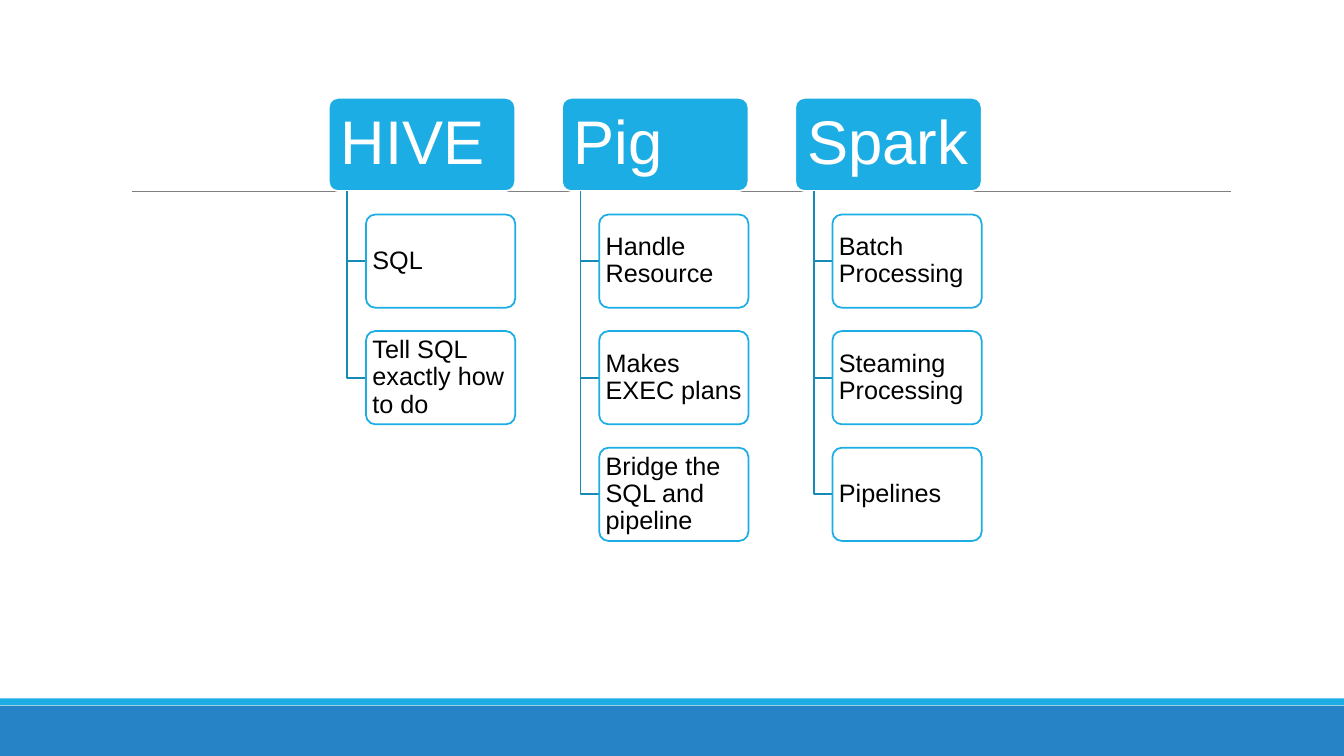
from lxml.etree import SubElement
from pptx import Presentation
from pptx.dml.color import RGBColor
from pptx.enum.shapes import MSO_CONNECTOR, MSO_SHAPE
from pptx.enum.text import MSO_ANCHOR, PP_ALIGN
from pptx.oxml.ns import qn
from pptx.util import Pt

SLIDE_WIDTH, SLIDE_HEIGHT = 960, 540
LEFT, TOP = 234.8, 69.9
HEADER_WIDTH, ITEM_WIDTH, BOX_HEIGHT = 133.2, 106.6, 66.6
COLUMN_STEP, ROW_STEP = 166.6, 83.3
STEM_INSET = 13.3
SKY, BLUE, TEAL, WHITE = "1CADE4", "2683C6", "168BB7", "FFFFFF"
COLUMNS = {
    "HIVE": ["SQL", "Tell SQL exactly how to do"],
    "Pig": ["Handle Resource", "Makes EXEC plans", "Bridge the SQL and pipeline"],
    "Spark": ["Batch Processing", "Steaming Processing", "Pipelines"],
}


def color(hex_code):
    """Turn a hex string into a colour."""
    return RGBColor.from_string(hex_code)


def add_line_style(shape, hex_code, width):
    """Set the colour and width of an outline."""
    shape.line.color.rgb = color(hex_code)
    shape.line.width = Pt(width)


def add_band(page, top, height, fill):
    """Add a full-width band."""
    band = page.shapes.add_shape(
        MSO_SHAPE.RECTANGLE, 0, Pt(top), Pt(SLIDE_WIDTH), Pt(height))
    band.shadow.inherit = False
    band.fill.solid()
    band.fill.fore_color.rgb = color(fill)
    band.line.fill.background()


def add_rule(page, left, right, y):
    """Add the thin horizontal rule."""
    rule = page.shapes.add_connector(
        MSO_CONNECTOR.STRAIGHT, Pt(left), Pt(y), Pt(right), Pt(y))
    add_line_style(rule, "808080", 0.5)
    SubElement(rule._element.spPr, qn("a:effectLst"))


def add_card(page, left, top, width, text, size, fill, line, ink):
    """Add a rounded card with left-aligned text."""
    card = page.shapes.add_shape(
        MSO_SHAPE.ROUNDED_RECTANGLE, Pt(left), Pt(top), Pt(width), Pt(BOX_HEIGHT))
    card.adjustments[0] = 0.1
    card.shadow.inherit = False
    card.fill.solid()
    card.fill.fore_color.rgb = color(fill)
    add_line_style(card, line, 1.25)
    frame = card.text_frame
    frame.word_wrap = True
    frame.vertical_anchor = MSO_ANCHOR.MIDDLE
    frame.margin_left = frame.margin_right = Pt(size * 0.15)
    frame.margin_top = frame.margin_bottom = Pt(size * 0.1)
    para = frame.paragraphs[0]
    para.alignment = PP_ALIGN.LEFT
    para.line_spacing = 0.9
    span = para.add_run()
    span.text = text
    span.font.name = "Arial"
    span.font.size = Pt(size)
    span.font.color.rgb = color(ink)


def add_elbow(page, left, top, right, bottom):
    """Add an open path that runs down and then right."""
    builder = page.shapes.build_freeform(Pt(left), Pt(top))
    builder.add_line_segments(
        [(Pt(left), Pt(bottom)), (Pt(right), Pt(bottom))], close=False)
    elbow = builder.convert_to_shape()
    elbow.shadow.inherit = False
    elbow.fill.background()
    add_line_style(elbow, TEAL, 1.25)


def add_column(page, left, heading, items):
    """Add a heading card with its items hanging below."""
    add_card(page, left, TOP, HEADER_WIDTH, heading, 44, SKY, WHITE, WHITE)
    item_left = left + HEADER_WIDTH - ITEM_WIDTH
    for row, item in enumerate(items, start=1):
        top = TOP + row * ROW_STEP
        add_elbow(page, left + STEM_INSET, TOP + BOX_HEIGHT,
                  item_left, top + BOX_HEIGHT / 2)
        add_card(page, item_left, top, ITEM_WIDTH, item, 18, WHITE, SKY, "000000")


def main():
    """Build the slide and save it."""
    deck = Presentation()
    deck.slide_width, deck.slide_height = Pt(SLIDE_WIDTH), Pt(SLIDE_HEIGHT)
    page = deck.slides.add_slide(deck.slide_layouts[6])
    add_band(page, 504, 36, BLUE)
    add_band(page, 498.8, 5, SKY)
    add_rule(page, 94.3, 879, 136.8)
    for index, (heading, items) in enumerate(COLUMNS.items()):
        add_column(page, LEFT + index * COLUMN_STEP, heading, items)
    deck.save("out.pptx")


if __name__ == "__main__":
    main()
